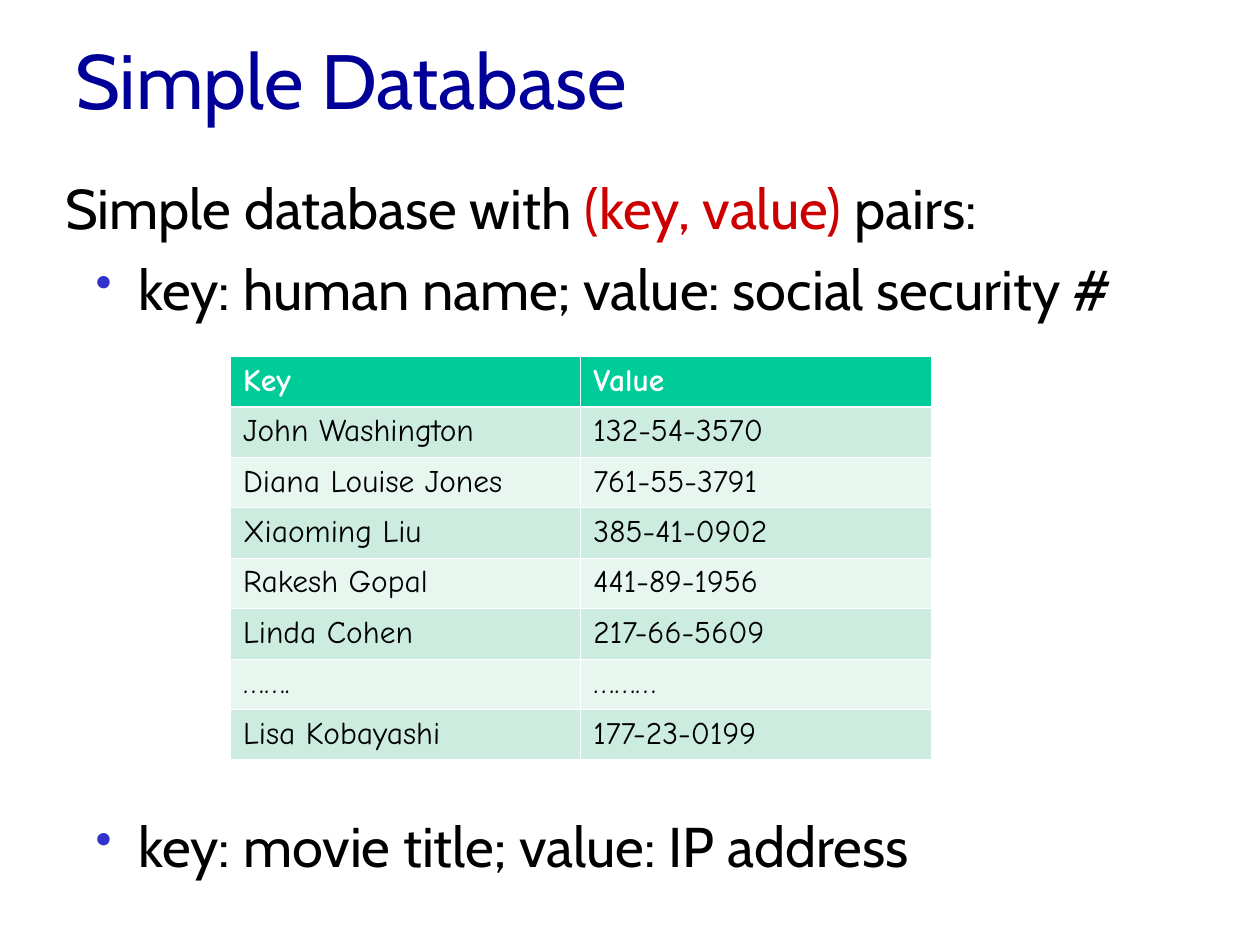
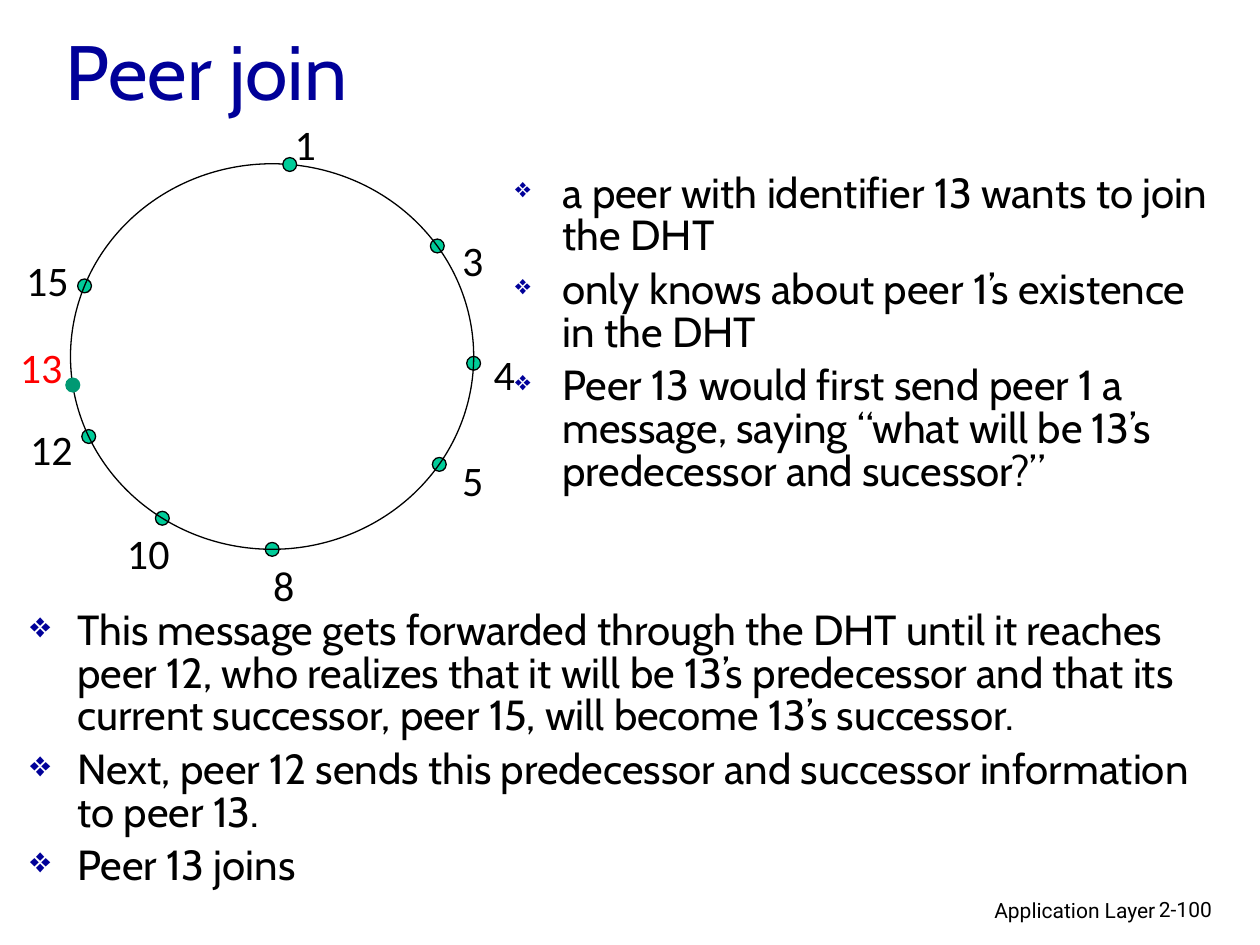
import dataclasses
import math

import lxml.etree
import pptx
import pptx.dml.color
import pptx.enum.shapes
import pptx.enum.text
import pptx.oxml.ns
import pptx.shapes.autoshape
import pptx.slide
import pptx.table
import pptx.text.text
import pptx.util

COLORS = {
    "title": "000099",
    "text": "000000",
    "accent": "CC0000",
    "dot": "3333CC",
    "diamond": "000099",
    "peer": "00CC99",
    "joining peer": "009973",
    "joining label": "FF0000",
    "header": "00CC99",
    "odd row": "CBECDE",
    "even row": "E7F6EF",
    "white": "FFFFFF",
}
SLIDE_WIDTH = pptx.util.Inches(10)
SLIDE_HEIGHT = pptx.util.Inches(7.5)
COLUMN = SLIDE_WIDTH / 100
ROW = SLIDE_HEIGHT / 75


@dataclasses.dataclass(frozen=True)
class Area:
    left: float
    top: float
    width: float
    height: float

    def lengths(self) -> tuple[int, int, int, int]:
        return (round(self.left * COLUMN), round(self.top * ROW),
                round(self.width * COLUMN), round(self.height * ROW))


@dataclasses.dataclass(frozen=True)
class Span:
    text: str
    color: str = "text"


@dataclasses.dataclass(frozen=True)
class Bullet:
    symbol: str
    color: str
    percent: int
    margin: float
    hang: float


@dataclasses.dataclass(frozen=True)
class Style:
    font: str
    size: int
    space_before: int = 0
    line_spacing: float = 1.0
    bold: bool = False


@dataclasses.dataclass(frozen=True)
class Peer:
    name: str
    degrees: float
    label_left: float
    label_top: float
    on_top: bool = False
    joining: bool = False


TITLE = Style("Cabin", 44)
BODY = Style("Cabin", 32, space_before=8)
STEPS = Style("Cabin", 24, space_before=6, line_spacing=0.85)
LABEL = Style("Calibri", 24, space_before=6)
FOOTER = Style("Roboto", 12)
CELL = Style("Comic Neue", 18)
HEADER = Style("Comic Neue", 18, bold=True)

DOT = Bullet("•", "dot", 85, 5.8, 3.4)
SMALL_DIAMOND = Bullet("❖", "diamond", 65, 3.75, 3.75)
DIAMOND = dataclasses.replace(SMALL_DIAMOND, percent=85)

RING = Area(5.6, 13, 32, 30.6)
DIGIT_WIDTH = 1.7
LABEL_PADDING = 2

PEERS = [
    Peer("1", -85, 22.4, 8.9, on_top=True),
    Peer("3", -35, 35.7, 18.1),
    Peer("4", 2, 38.2, 27.2),
    Peer("5", 34, 35.7, 35.6),
    Peer("8", 90, 20.7, 43.9),
    Peer("10", 123, 9.1, 41.4),
    Peer("12", 155.5, 1.4, 33.1),
    Peer("13", 171.5, 0.6, 26.6, on_top=True, joining=True),
    Peer("15", 201.5, 1.1, 19.7),
]

RECORDS = [
    ("Key", "Value"),
    ("John Washington", "132-54-3570"),
    ("Diana Louise Jones", "761-55-3791"),
    ("Xiaoming Liu", "385-41-0902"),
    ("Rakesh Gopal", "441-89-1956"),
    ("Linda Cohen", "217-66-5609"),
    ("…….", "………"),
    ("Lisa Kobayashi", "177-23-0199"),
]


def rgb(name: str) -> pptx.dml.color.RGBColor:
    return pptx.dml.color.RGBColor.from_string(COLORS[name])


def add_child(parent: lxml.etree._Element, tag: str, **attributes: str) -> lxml.etree._Element:
    return lxml.etree.SubElement(parent, pptx.oxml.ns.qn(tag), **attributes)


def add_bullet(para: pptx.text.text._Paragraph, bullet: Bullet) -> None:
    properties = para._p.get_or_add_pPr()
    properties.set("marL", str(round(bullet.margin * COLUMN)))
    properties.set("indent", str(round(-bullet.hang * COLUMN)))
    color = add_child(properties, "a:buClr")
    add_child(color, "a:srgbClr", val=COLORS[bullet.color])
    add_child(properties, "a:buSzPct", val=str(bullet.percent * 1000))
    add_child(properties, "a:buChar", char=bullet.symbol)


def write_para(para: pptx.text.text._Paragraph, spans: list[Span], style: Style,
               bullet: Bullet | None = None) -> None:
    para.space_before = pptx.util.Pt(style.space_before)
    para.line_spacing = style.line_spacing
    if bullet:
        add_bullet(para, bullet)
    for span in spans:
        run = para.add_run()
        run.text = span.text
        run.font.name = style.font
        run.font.size = pptx.util.Pt(style.size)
        run.font.bold = style.bold
        run.font.color.rgb = rgb(span.color)


def add_text(page: pptx.slide.Slide, area: Area,
             paras: list[tuple[list[Span], Bullet | None]], style: Style,
             wrap: bool = True) -> pptx.shapes.autoshape.Shape:
    box = page.shapes.add_textbox(*area.lengths())
    frame = box.text_frame
    frame.word_wrap = wrap
    for index, (spans, bullet) in enumerate(paras):
        para = frame.add_paragraph() if index else frame.paragraphs[0]
        write_para(para, spans, style, bullet)
    return box


def add_title(page: pptx.slide.Slide, text: str, area: Area) -> None:
    box = add_text(page, area, [([Span(text, "title")], None)], TITLE)
    box.text_frame.vertical_anchor = pptx.enum.text.MSO_ANCHOR.MIDDLE


def add_steps(page: pptx.slide.Slide, area: Area, texts: list[str], bullet: Bullet) -> None:
    add_text(page, area, [([Span(text)], bullet) for text in texts], STEPS)


def add_footer(page: pptx.slide.Slide, section: str, number: str) -> None:
    box = add_text(page, Area(61, 70.7, 31.7, 3.1), [([Span(section)], None)], FOOTER)
    box.text_frame.paragraphs[0].alignment = pptx.enum.text.PP_ALIGN.RIGHT
    add_text(page, Area(91, 70.7, 7.4, 3), [([Span(number)], None)], FOOTER)


def add_borders(cell: pptx.table._Cell, widths: dict[str, float]) -> None:
    properties = cell._tc.get_or_add_tcPr()
    for side, width in widths.items():
        line = add_child(properties, f"a:ln{side}", w=str(pptx.util.Pt(width)))
        fill = add_child(line, "a:solidFill")
        add_child(fill, "a:srgbClr", val=COLORS["white"])


def add_records(page: pptx.slide.Slide, area: Area) -> None:
    thin, thick = 0.45, 1.47
    table = page.shapes.add_table(len(RECORDS), len(RECORDS[0]), *area.lengths()).table
    for row, record in enumerate(RECORDS):
        is_header = row == 0
        fill = "header" if is_header else "odd row" if row % 2 else "even row"
        for column, text in enumerate(record):
            cell = table.cell(row, column)
            add_borders(cell, {"L": thin, "R": thin,
                               "T": thick if row == 1 else thin,
                               "B": thick if is_header else thin})
            cell.fill.solid()
            cell.fill.fore_color.rgb = rgb(fill)
            write_para(cell.text_frame.paragraphs[0],
                       [Span(text, "white" if is_header else "text")],
                       HEADER if is_header else CELL)


def add_ellipse(page: pptx.slide.Slide, area: Area, fill: str | None = None,
                outlined: bool = True) -> None:
    shape = page.shapes.add_shape(pptx.enum.shapes.MSO_SHAPE.OVAL, *area.lengths())
    shape.shadow.inherit = False
    if fill:
        shape.fill.solid()
        shape.fill.fore_color.rgb = rgb(fill)
    else:
        shape.fill.background()
    if outlined:
        shape.line.color.rgb = rgb("text")
        shape.line.width = pptx.util.Pt(0.75)
    else:
        shape.line.fill.background()


def add_peer_dot(page: pptx.slide.Slide, peer: Peer) -> None:
    size = 1.2 if peer.joining else 1.1
    angle = math.radians(peer.degrees)
    left = RING.left + RING.width / 2 * (1 + math.cos(angle)) - size / 2
    top = RING.top + RING.height / 2 * (1 + math.sin(angle)) - size / 2
    add_ellipse(page, Area(left, top, size, size),
                "joining peer" if peer.joining else "peer", not peer.joining)


def add_peer_label(page: pptx.slide.Slide, peer: Peer) -> None:
    width = LABEL_PADDING + DIGIT_WIDTH * len(peer.name)
    span = Span(peer.name, "joining label" if peer.joining else "text")
    box = add_text(page, Area(peer.label_left, peer.label_top, width, 5),
                   [([span], None)], LABEL, wrap=False)
    box.text_frame.auto_size = pptx.enum.text.MSO_AUTO_SIZE.SHAPE_TO_FIT_TEXT


def add_ring(page: pptx.slide.Slide) -> None:
    for peer in PEERS:
        if not peer.on_top:
            add_peer_dot(page, peer)
    add_ellipse(page, RING)
    for peer in PEERS:
        if peer.on_top:
            add_peer_dot(page, peer)
        add_peer_label(page, peer)


def build_database_page(page: pptx.slide.Slide) -> None:
    add_records(page, Area(18.3, 28.3, 55.6, 32))
    pairs = [Span("Simple database with "), Span("(key, value) ", "accent"), Span("pairs:")]
    add_text(page, Area(4.2, 13.3, 95.8, 14), [
        (pairs, None),
        ([Span("key: human name; value: social security #")], DOT),
    ], BODY)
    add_title(page, "Simple Database", Area(5, 0, 90, 12.5))
    add_text(page, Area(4.2, 63.9, 95.8, 7.5),
             [([Span("key: movie title; value: IP address")], DOT)], BODY)


def build_join_page(page: pptx.slide.Slide) -> None:
    add_steps(page, Area(39.9, 13.3, 57.9, 30.1), [
        "a peer with identifier 13 wants to join the DHT",
        "only knows about peer 1’s existence in the DHT",
        "Peer 13 would first send peer 1 a message, saying “what will be 13’s "
        "predecessor and sucessor?”",
    ], SMALL_DIAMOND)
    add_footer(page, "Application Layer", "2-100")
    add_title(page, "Peer join", Area(4.2, 0, 90, 11.1))
    add_ring(page)
    add_steps(page, Area(1.4, 48, 95.7, 27), [
        "This message gets forwarded through the DHT until it reaches peer 12, who "
        "realizes that it will be 13’s predecessor and that its current successor, "
        "peer 15, will become 13’s successor.",
        "Next, peer 12 sends this predecessor and successor information to peer 13.",
        "Peer 13 joins",
    ], DIAMOND)


def main() -> None:
    deck = pptx.Presentation()
    deck.slide_width = SLIDE_WIDTH
    deck.slide_height = SLIDE_HEIGHT
    for build_page in (build_database_page, build_join_page):
        build_page(deck.slides.add_slide(deck.slide_layouts[6]))
    deck.save("out.pptx")


if __name__ == "__main__":
    main()
